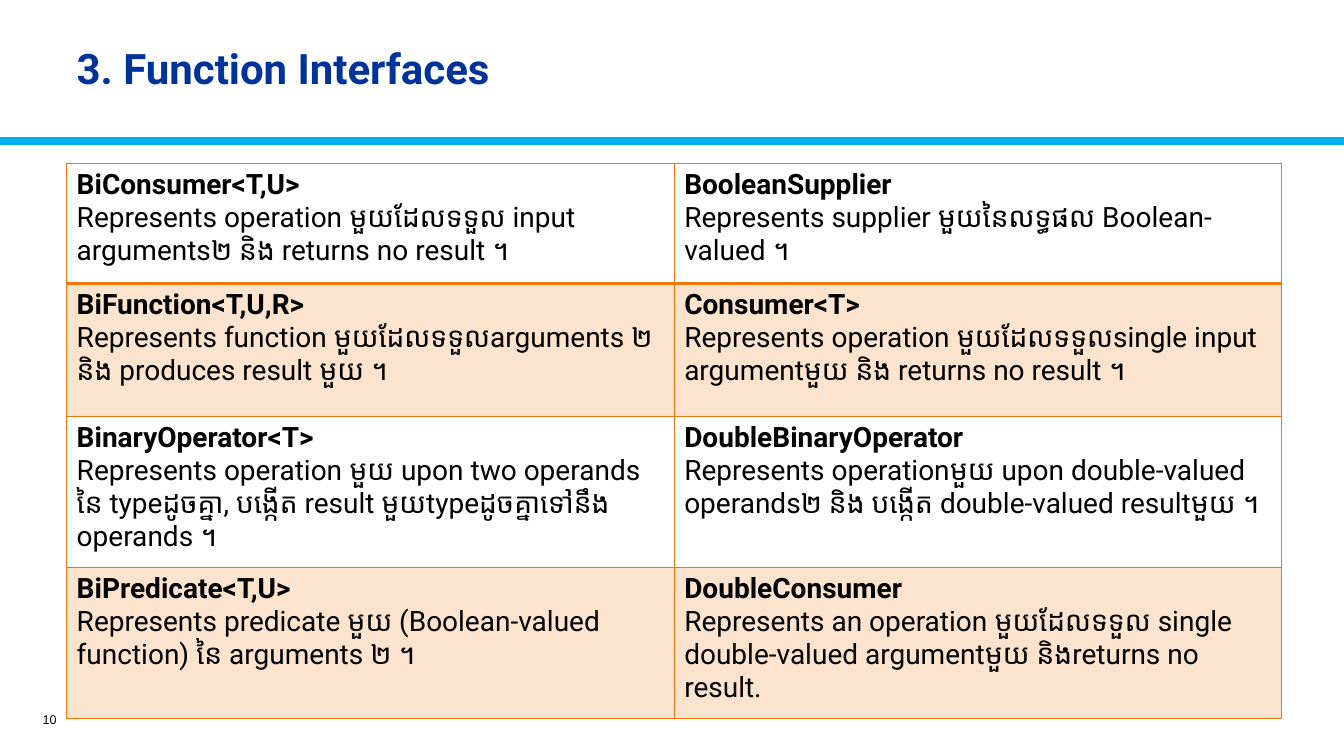
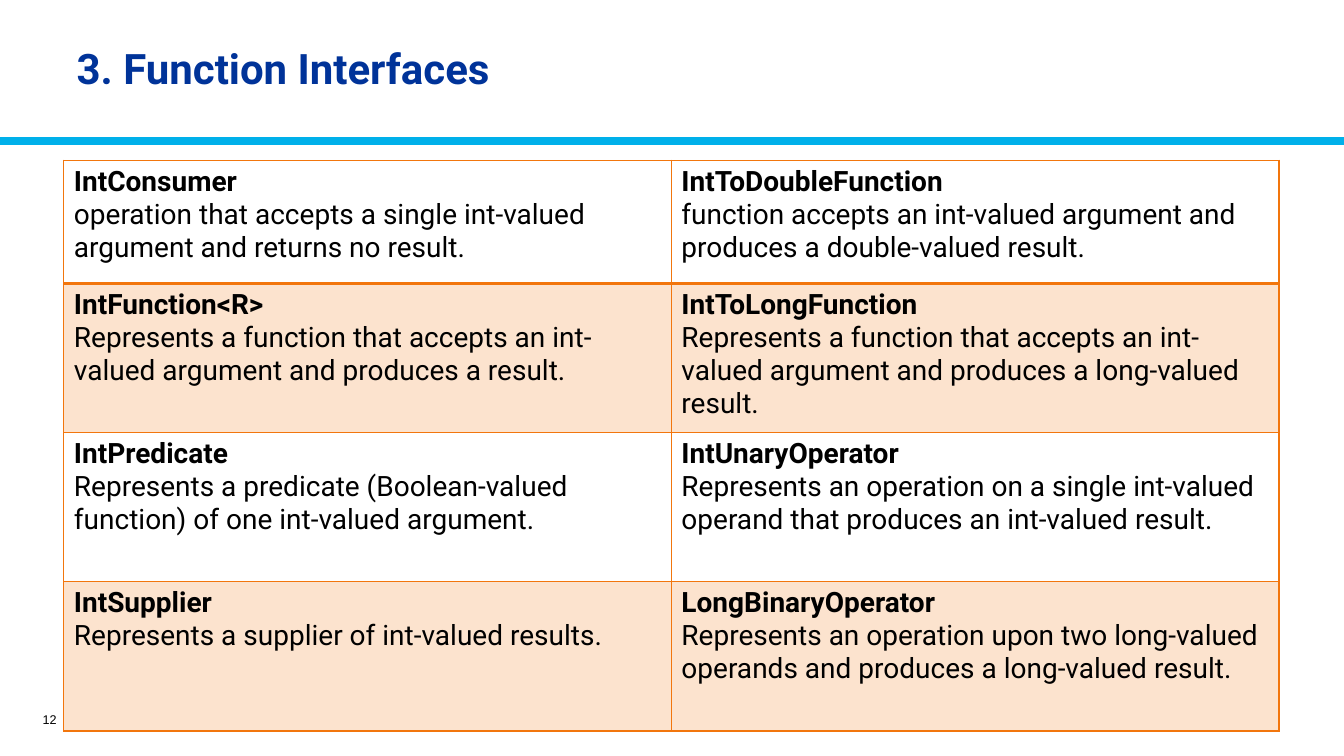
from dataclasses import dataclass

from lxml.etree import SubElement
from pptx import Presentation
from pptx.dml.color import RGBColor
from pptx.enum.shapes import MSO_CONNECTOR
from pptx.enum.text import MSO_ANCHOR, PP_ALIGN
from pptx.oxml.ns import qn
from pptx.util import Cm, Pt

# Content: each row holds two (interface, description) entries
TITLE = "3. Function Interfaces"
PAGES = [
    {
        "number": "10",
        "corner": (1.68, 4.11),
        "row_heights": (3.03, 3.36, 3.81, 3.8),
        "interfaces": [
            [("BiConsumer<T,U>",
              "Represents operation មួយដែលទទួល input arguments២ និង returns no result ។"),
             ("BooleanSupplier",
              "Represents supplier មួយនៃលទ្ធផល Boolean-valued ។")],
            [("BiFunction<T,U,R>",
              "Represents function មួយដែលទទួលarguments ២ និង produces result មួយ ។"),
             ("Consumer<T>",
              "Represents operation មួយដែលទទួលsingle input argumentមួយ និង returns no result ។")],
            [("BinaryOperator<T>",
              "Represents operation មួយ upon two operands នៃ typeដូចគ្នា, "
              "បង្កើត result មួយtypeដូចគ្នាទៅនឹង operands ។"),
             ("DoubleBinaryOperator",
              "Represents operationមួយ upon double-valued operands២ និង "
              "បង្កើត double-valued resultមួយ ។")],
            [("BiPredicate<T,U>",
              "Represents predicate មួយ (Boolean-valued function) នៃ arguments ២ ។"),
             ("DoubleConsumer",
              "Represents an operation មួយដែលទទួល single double-valued argumentមួយ "
              "និងreturns no result.")],
        ],
    },
    {
        "number": "12",
        "corner": (1.61, 4.04),
        "row_heights": (3.1, 3.76, 3.76, 3.76),
        "interfaces": [
            [("IntConsumer",
              "operation that accepts a single int-valued argument and returns no result."),
             ("IntToDoubleFunction",
              "function accepts an int-valued argument and produces a double-valued result.")],
            [("IntFunction<R>",
              "Represents a function that accepts an int-valued argument and produces a result."),
             ("IntToLongFunction",
              "Represents a function that accepts an int-valued argument and produces "
              "a long-valued result.")],
            [("IntPredicate",
              "Represents a predicate (Boolean-valued function) of one int-valued argument."),
             ("IntUnaryOperator",
              "Represents an operation on a single int-valued operand that produces "
              "an int-valued result.")],
            [("IntSupplier",
              "Represents a supplier of int-valued results."),
             ("LongBinaryOperator",
              "Represents an operation upon two long-valued operands and produces "
              "a long-valued result.")],
        ],
    },
]


@dataclass(frozen=True)
class Theme:
    title: str = "003399"
    rule: str = "00B0EA"
    accent: str = "F2760D"
    text: str = "000000"
    band_alpha: int = 20
    font: str = "Roboto"
    number_font: str = "Arial"
    title_size: int = 30
    body_size: int = 20
    number_size: int = 9
    rule_width: int = 6
    border: int = 1
    header_border: int = 2


THEME = Theme()
SLIDE_WIDTH, SLIDE_HEIGHT = Cm(33.87), Cm(19.05)
RULE_TOP = Cm(3.56)
COLUMN_WIDTH = Cm(15.31)


# Text
def add_run(paragraph, text, size, color, font, bold=False):
    run = paragraph.add_run()
    run.text = text
    run.font.size = Pt(size)
    run.font.bold = bold
    run.font.name = font
    run.font.color.rgb = RGBColor.from_string(color)
    # Khmer is set in the complex-script font
    SubElement(run.font._element, qn("a:cs"), typeface=font)


def add_line_of_text(slide, box, text, size, color, font, bold=False,
                     align=PP_ALIGN.LEFT, spacing=1.0):
    frame = slide.shapes.add_textbox(*map(Cm, box)).text_frame
    frame.word_wrap = True
    frame.vertical_anchor = MSO_ANCHOR.MIDDLE
    paragraph = frame.paragraphs[0]
    paragraph.alignment = align
    paragraph.line_spacing = spacing
    add_run(paragraph, text, size, color, font, bold)


# Parts shared by all slides
def add_frame(slide, number):
    rule = slide.shapes.add_connector(
        MSO_CONNECTOR.STRAIGHT, 0, RULE_TOP, SLIDE_WIDTH, RULE_TOP)
    rule.line.color.rgb = RGBColor.from_string(THEME.rule)
    rule.line.width = Pt(THEME.rule_width)
    SubElement(rule._element.spPr, qn("a:effectLst"))
    add_line_of_text(slide, (0.23, 17.75, 1.45, 0.76), number, THEME.number_size,
                     THEME.text, THEME.number_font, align=PP_ALIGN.RIGHT)
    add_line_of_text(slide, (1.68, 0.38, 30.53, 2.82), TITLE, THEME.title_size,
                     THEME.title, THEME.font, bold=True, spacing=0.9)


# Table of interfaces
def style_cell(cell, row):
    properties = cell._tc.get_or_add_tcPr()
    widths = {
        "L": THEME.border,
        "R": THEME.border,
        "T": THEME.header_border if row == 1 else THEME.border,
        "B": THEME.header_border if row == 0 else THEME.border,
    }
    for side, width in widths.items():
        border = SubElement(properties, qn(f"a:ln{side}"), w=str(Pt(width)))
        paint = SubElement(border, qn("a:solidFill"))
        SubElement(paint, qn("a:srgbClr"), val=THEME.accent)
    if row % 2:
        cell.fill.solid()
        cell.fill.fore_color.rgb = RGBColor.from_string(THEME.accent)
        tint = properties.find(qn("a:solidFill")).find(qn("a:srgbClr"))
        SubElement(tint, qn("a:alpha"), val=str(THEME.band_alpha * 1000))
    else:
        cell.fill.background()


def add_interfaces(slide, page):
    entries = page["interfaces"]
    heights = [Cm(height) for height in page["row_heights"]]
    columns = len(entries[0])
    left, top = map(Cm, page["corner"])
    table = slide.shapes.add_table(len(entries), columns, left, top,
                                   COLUMN_WIDTH * columns, sum(heights)).table
    table.first_row = table.horz_banding = False
    for column in table.columns:
        column.width = COLUMN_WIDTH
    for row, (height, pair) in enumerate(zip(heights, entries)):
        table.rows[row].height = height
        for column, (interface, description) in enumerate(pair):
            cell = table.cell(row, column)
            style_cell(cell, row)
            frame = cell.text_frame
            add_run(frame.paragraphs[0], interface, THEME.body_size,
                    THEME.text, THEME.font, bold=True)
            add_run(frame.add_paragraph(), description, THEME.body_size,
                    THEME.text, THEME.font)


def main():
    deck = Presentation()
    deck.slide_width, deck.slide_height = SLIDE_WIDTH, SLIDE_HEIGHT
    blank = deck.slide_layouts[6]
    for page in PAGES:
        slide = deck.slides.add_slide(blank)
        add_frame(slide, page["number"])
        add_interfaces(slide, page)
    deck.save("out.pptx")


if __name__ == "__main__":
    main()
